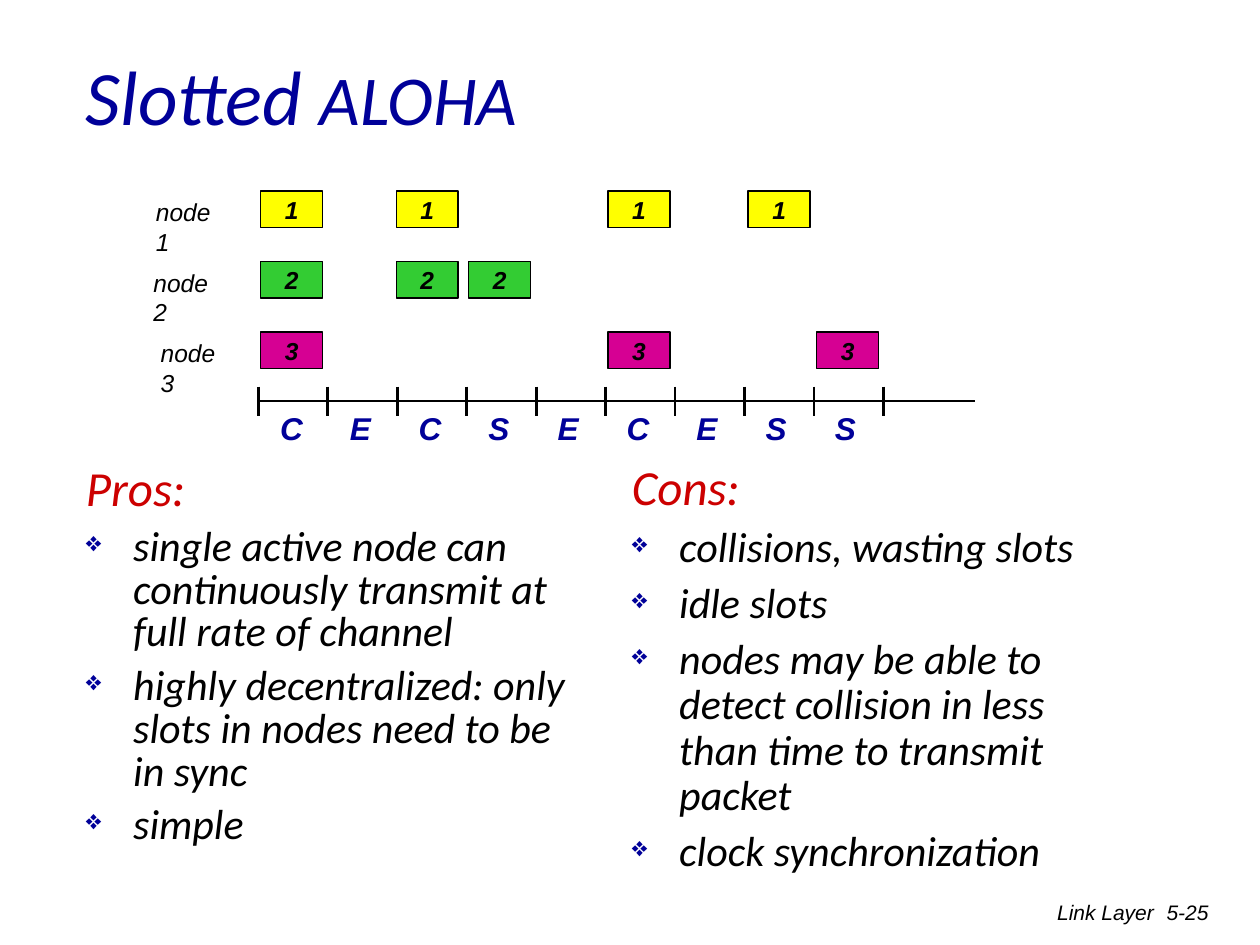
"""Build the Slotted ALOHA slide: slot timeline above pros and cons."""
from lxml import etree
from pptx import Presentation
from pptx import util as u
from pptx.dml import color
from pptx.enum import shapes, text
from pptx.oxml import ns

BLACK, NAVY, RED = "000000", "000099", "CC0000"


def rgb(value):
    return color.RGBColor.from_string(value)


class Board:
    """Holds the style and the current slide."""

    label_font, body_font = "Arial", "Calibri"

    def __init__(self, slide):
        self.slide = slide

    def style(self, paragraph, size, ink=BLACK, font=label_font, bold=False):
        for run in paragraph.runs:
            run.font.name = font
            run.font.size = u.Pt(size)
            run.font.bold = bold
            run.font.italic = True
            run.font.color.rgb = rgb(ink)

    def frame(self, left, top, width, height, wrap=True):
        box = self.slide.shapes.add_textbox(*map(u.Pt, (left, top, width, height)))
        box.text_frame.word_wrap = wrap
        return box.text_frame

    def label(self, words, left, top, width, height, size, ink=BLACK,
              bold=False, align=text.PP_ALIGN.LEFT, wrap=False):
        frame = self.frame(left, top, width, height, wrap)
        if not wrap:
            frame.auto_size = text.MSO_AUTO_SIZE.SHAPE_TO_FIT_TEXT
        frame.text = words
        frame.paragraphs[0].alignment = align
        self.style(frame.paragraphs[0], size, ink, bold=bold)

    def title(self, parts, left, top, width, height):
        frame = self.frame(left, top, width, height)
        frame.vertical_anchor = text.MSO_ANCHOR.MIDDLE
        heading = frame.paragraphs[0]
        for words, _ in parts:
            heading.add_run().text = words
        self.style(heading, parts[0][1], NAVY, self.body_font)
        for run, (_, size) in zip(heading.runs, parts):
            run.font.size = u.Pt(size)

    def packet(self, number, left, top, fill):
        box = self.slide.shapes.add_shape(
            shapes.MSO_SHAPE.RECTANGLE, *map(u.Pt, (left, top, 35.4, 21)))
        box.shadow.inherit = False
        box.fill.solid()
        box.fill.fore_color.rgb = rgb(fill)
        box.line.color.rgb = rgb(BLACK)
        box.line.width = u.Pt(0.75)
        frame = box.text_frame
        frame.margin_top = frame.margin_bottom = 0
        frame.vertical_anchor = text.MSO_ANCHOR.MIDDLE
        frame.text = number
        frame.paragraphs[0].alignment = text.PP_ALIGN.CENTER
        self.style(frame.paragraphs[0], 14, bold=True)

    def line(self, x1, y1, x2, y2, width):
        rule = self.slide.shapes.add_connector(
            shapes.MSO_CONNECTOR.STRAIGHT, *map(u.Pt, (x1, y1, x2, y2)))
        rule.line.color.rgb = rgb(BLACK)
        rule.line.width = u.Pt(width)
        etree.SubElement(rule._element.spPr, ns.qn("a:effectLst"))

    def bullet(self, paragraph):
        props = paragraph._p.get_or_add_pPr()
        props.set("marL", str(u.Pt(27)))
        props.set("indent", str(u.Pt(-27)))
        tint = etree.SubElement(props, ns.qn("a:buClr"))
        etree.SubElement(tint, ns.qn("a:srgbClr"), val=NAVY)
        etree.SubElement(props, ns.qn("a:buSzPct"), val="65000")
        etree.SubElement(props, ns.qn("a:buChar"), char="❖")

    def points(self, heading, items, left, top, spacing):
        frame = self.frame(left, top, 300, 252)
        frame.text = "\n".join([heading, *items])
        first, *rest = frame.paragraphs
        self.style(first, 28, RED, self.body_font)
        first.line_spacing = spacing
        for paragraph in rest:
            self.bullet(paragraph)
            paragraph.line_spacing = spacing
            paragraph.space_before = u.Pt(6)
            self.style(paragraph, 24, font=self.body_font)


def main():
    deck = Presentation()
    deck.slide_width, deck.slide_height = u.Pt(720), u.Pt(540)
    board = Board(deck.slides.add_slide(deck.slide_layouts[6]))

    right = text.PP_ALIGN.RIGHT
    board.label("Link Layer", 438.5, 510.5, 228, 36, 12, align=right, wrap=True)
    board.label("5-25", 644.4, 510.5, 53.3, 36, 12, align=right, wrap=True)

    board.points("Pros:", [
        "single active node can continuously transmit at full rate of channel",
        "highly decentralized: only slots in nodes need to be in sync",
        "simple",
    ], 42, 263, 0.85)
    board.points("Cons:", [
        "collisions, wasting slots",
        "idle slots",
        "nodes may be able to detect collision in less than time to transmit packet",
        "clock synchronization",
    ], 354, 261, 0.9)
    board.title([("Slotted ", 44), ("ALOHA", 40)], 42, 9, 390, 90)

    packet_lefts = {0: 149, 2: 226.4, 3: 267.9, 5: 347.4, 7: 427.5, 8: 466.7}
    nodes = [
        ("1", "FFFF00", 82, (0, 2, 5, 7)),
        ("2", "33CC33", 80.6, (0, 2, 3)),
        ("3", "D60093", 84.7, (0, 5, 8)),
    ]
    for row, (number, fill, name_left, slots) in enumerate(nodes):
        row_top = 109.1 + 40.3 * row
        board.label(f"node {number}", name_left, row_top, 56.9, 24.2, 14)
        for slot in slots:
            board.packet(number, packet_lefts[slot], row_top, fill)

    axis_left, axis_y, slot_width = 147.6, 229.2, 39.7
    outcomes = "CECSECESS"
    board.line(axis_left, axis_y, 557.3, axis_y, 0.75)
    for tick in range(len(outcomes) + 1):
        tick_x = axis_left + slot_width * tick
        board.line(tick_x, axis_y - 8.2, tick_x, axis_y + 8.4, 1.5)
    for slot, outcome in enumerate(outcomes):
        board.label(outcome, 153 + 39.6 * slot, 230.2, 26.6, 28.8, 18, NAVY,
                    bold=True, align=text.PP_ALIGN.CENTER)

    deck.save("out.pptx")


if __name__ == "__main__":
    main()
